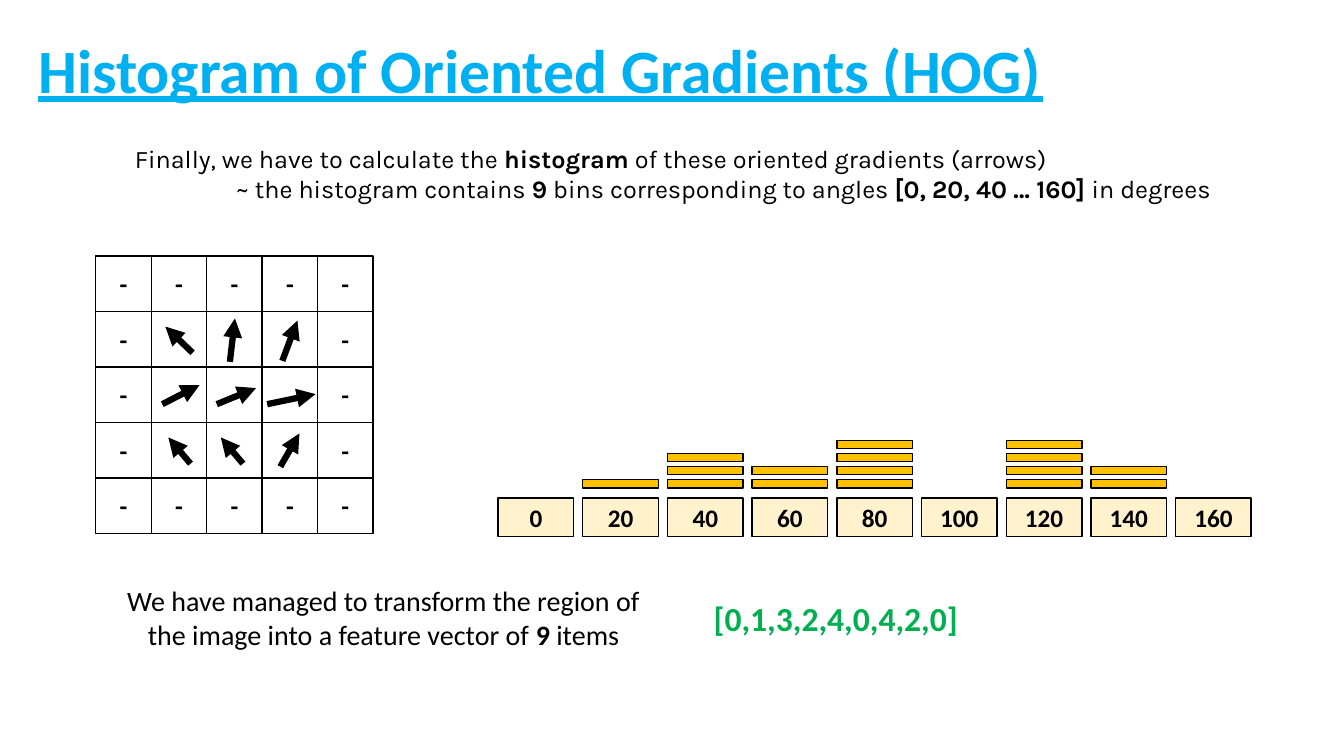
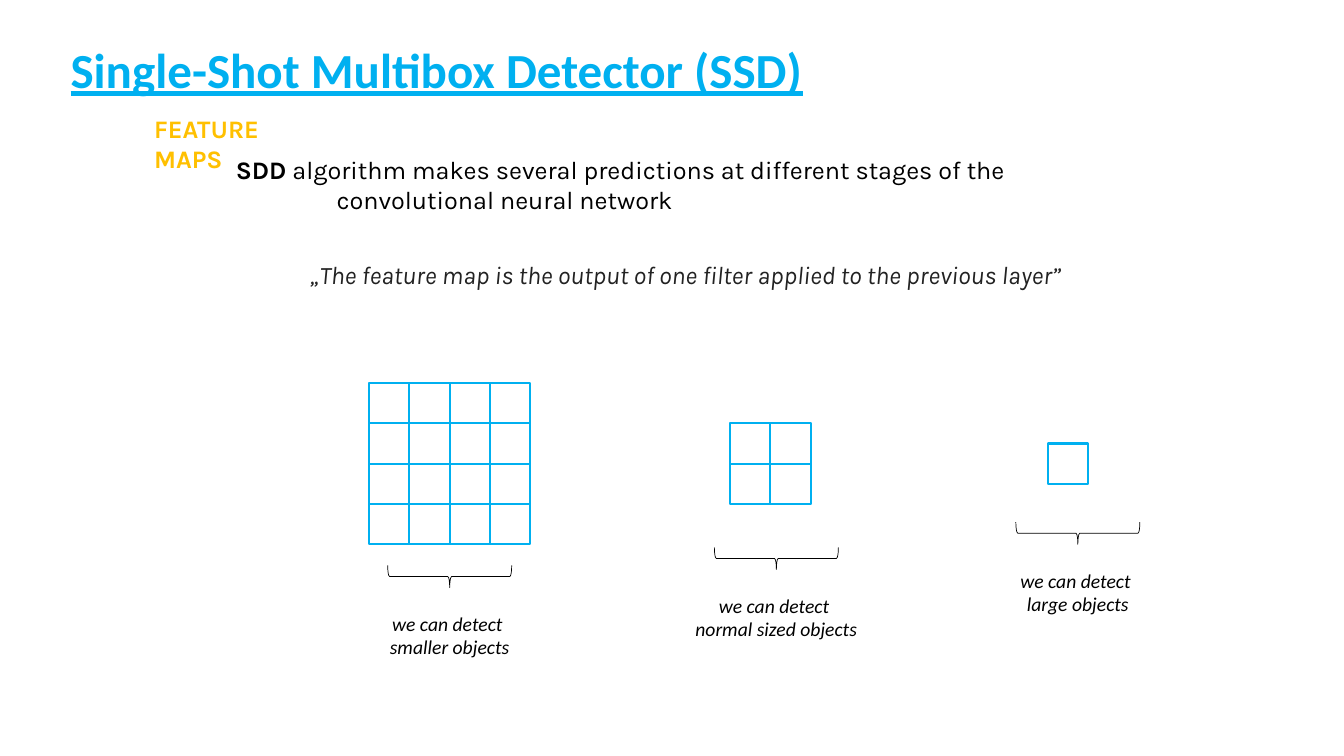
from pptx import Presentation
from pptx.dml.color import RGBColor
from pptx.enum.shapes import MSO_CONNECTOR, MSO_SHAPE
from pptx.enum.text import MSO_ANCHOR, MSO_AUTO_SIZE, PP_ALIGN
from pptx.oxml.ns import qn
from pptx.util import Inches, Pt
from lxml.etree import SubElement

BLUE, GOLD, CREAM, GREEN = "00B0F0", "FFC000", "FFF2CC", "00B050"
BLACK, GREY = "000000", "222222"


def paint(target, color):
    if hasattr(target, "solid"):
        target.solid()
        target = target.fore_color
    target.rgb = RGBColor.from_string(color)


def add_run(para, text, size, color=BLACK, face="Calibri",
            bold=False, slant=False, under=None):
    run = para.add_run()
    run.text = text
    font = run.font
    font.size, font.name = Pt(size), face
    font.bold, font.italic, font.underline = bold, slant, under
    paint(font.color, color)


def add_title(slide, text, left, size):
    title = slide.shapes.title
    title.left, title.top = Inches(left), Inches(0)
    title.width, title.height = Inches(11.5), Inches(1.45)
    frame = title.text_frame
    frame.word_wrap = True
    frame.auto_size = MSO_AUTO_SIZE.NONE
    frame.vertical_anchor = MSO_ANCHOR.MIDDLE
    para = frame.paragraphs[0]
    para.alignment, para.line_spacing = PP_ALIGN.LEFT, 0.9
    add_run(para, text, size, BLUE, bold=True, under=True)


def add_text(slide, box, lines, size, align=PP_ALIGN.LEFT, indent=0, **style):
    shape = slide.shapes.add_textbox(*map(Inches, box))
    frame = shape.text_frame
    frame.word_wrap = True
    for row, runs in enumerate(lines):
        para = frame.add_paragraph() if row else frame.paragraphs[0]
        para.alignment = align
        if row and indent:
            para._p.get_or_add_pPr().set("marL", str(Inches(indent)))
        for text, bold in runs:
            add_run(para, text, size, bold=bold, **style)


def add_box(slide, box, fill=None, line=BLACK, weight=1, text="",
            kind=MSO_SHAPE.RECTANGLE):
    shape = slide.shapes.add_shape(kind, *map(Inches, box))
    shape.shadow.inherit = False
    if fill:
        paint(shape.fill, fill)
    else:
        shape.fill.background()
    paint(shape.line.color, line)
    shape.line.width = Pt(weight)
    if text:
        frame = shape.text_frame
        frame.vertical_anchor = MSO_ANCHOR.MIDDLE
        para = frame.paragraphs[0]
        para.alignment = PP_ALIGN.CENTER
        add_run(para, text, 18, bold=True)
    return shape


def add_arrow(slide, start, end):
    arrow = slide.shapes.add_connector(
        MSO_CONNECTOR.STRAIGHT, *map(Inches, start + end))
    paint(arrow.line.color, BLACK)
    arrow.line.width = Pt(4.5)
    SubElement(arrow.line._get_or_add_ln(), qn("a:tailEnd"), type="triangle")
    SubElement(arrow._element.spPr, qn("a:effectLst"))


def add_field(slide, left, top, side):
    count = 5
    for row in range(count):
        for col in range(count):
            edge = row in (0, count - 1) or col in (0, count - 1)
            add_box(slide, (left + col * side, top + row * side, side, side),
                    None if edge else "FFFFFF", text="-" if edge else "")
    arrows = [
        ((0.96, 0.96), (0.69, 0.7)), ((1.33, 1.05), (1.38, 0.62)),
        ((1.85, 1.04), (2, 0.64)), ((0.66, 1.47), (1.03, 1.28)),
        ((1.2, 1.47), (1.59, 1.31)), ((1.7, 1.47), (2.18, 1.37)),
        ((0.94, 2.06), (0.72, 1.8)), ((1.46, 2.06), (1.24, 1.8)),
        ((1.83, 2.09), (2.02, 1.76)),
    ]
    for start, end in arrows:
        add_arrow(slide, (left + start[0], top + start[1]),
                  (left + end[0], top + end[1]))


def add_bins(slide, left, top, counts):
    for place, count in enumerate(counts):
        x = left + place * 0.84
        add_box(slide, (x, top, 0.75, 0.38), CREAM, text=str(place * 20))
        for level in range(count):
            add_box(slide, (x, top - 0.18 - level * 0.13, 0.75, 0.08), GOLD)


def add_map(slide, mid, count):
    side, center = 0.4, 4.6
    left, top = mid - count * side / 2, center - count * side / 2
    for row in range(count):
        for col in range(count):
            add_box(slide, (left + col * side, top + row * side, side, side),
                    line=BLUE, weight=1.5)


def add_label(slide, mid, y, text):
    wide, tall = 0.22, 1.23
    brace = add_box(slide, (mid - wide / 2, y - tall / 2, wide, tall),
                    weight=0.5, kind=MSO_SHAPE.RIGHT_BRACE)
    brace.rotation = 90
    add_text(slide, (mid - 1, y + 0.3, 2, 0.57),
             [[("we can detect ", False)], [(text, False)]], 14,
             PP_ALIGN.CENTER, slant=True)


def build_hog(slide):
    counts = [0, 1, 3, 2, 4, 0, 4, 2, 0]
    add_title(slide, "Histogram of Oriented Gradients (HOG)", 0.28, 44)
    add_field(slide, 0.95, 2.54, 0.55)
    add_text(slide, (1.24, 1.37, 11.3, 0.71), [
        [("Finally, we have to calculate the ", False), ("histogram", True),
         (" of these oriented gradients (arrows)", False)],
        [("~ the histogram contains ", False), ("9", True),
         (" bins corresponding to angles ", False),
         ("[0, 20, 40 … 160] ", True), ("in degrees", False)],
    ], 18, indent=1, face="Karla")
    add_bins(slide, 4.94, 4.94, counts)
    vector = "[" + ",".join(map(str, counts)) + "]"
    add_text(slide, (6.98, 5.88, 2.8, 0.5), [[(vector, True)]], 24,
             color=GREEN)
    add_text(slide, (1.14, 5.74, 5.39, 0.77), [
        [("We have managed to transform the region of ", False)],
        [("the image into a feature vector of ", False), ("9", True),
         (" items ", False)],
    ], 20, PP_ALIGN.CENTER)


def build_ssd(slide):
    add_title(slide, "Single-Shot Multibox Detector (SSD)", 0.6, 35)
    add_text(slide, (1.43, 1.07, 1.4, 0.71), [[("FEATURE MAPS", True)]], 18,
             color=GOLD, face="Karla")
    add_text(slide, (2.24, 1.48, 8.3, 0.71), [
        [("SDD", True), (" algorithm makes several predictions at different "
                         "stages of the", False)],
        [("convolutional neural network", False)],
    ], 18, indent=1, face="Karla")
    quote = ("„The feature map is the output of one filter applied "
             "to the previous layer”")
    add_text(slide, (2.98, 2.52, 8.79, 0.4), [[(quote, False)]], 18,
             color=GREY, face="Karla", slant=True)
    stages = [
        (4.46, 4, 4.46, 5.72, "smaller objects"),
        (7.64, 2, 7.7, 5.54, "normal sized objects"),
        (10.59, 1, 10.69, 5.29, "large objects"),
    ]
    for mid, count, point, y, text in stages:
        add_map(slide, mid, count)
        add_label(slide, point, y, text)


def main():
    deck = Presentation()
    deck.slide_width, deck.slide_height = Inches(13.33), Inches(7.5)
    for build in (build_hog, build_ssd):
        build(deck.slides.add_slide(deck.slide_layouts[5]))
    deck.save("out.pptx")


if __name__ == "__main__":
    main()
